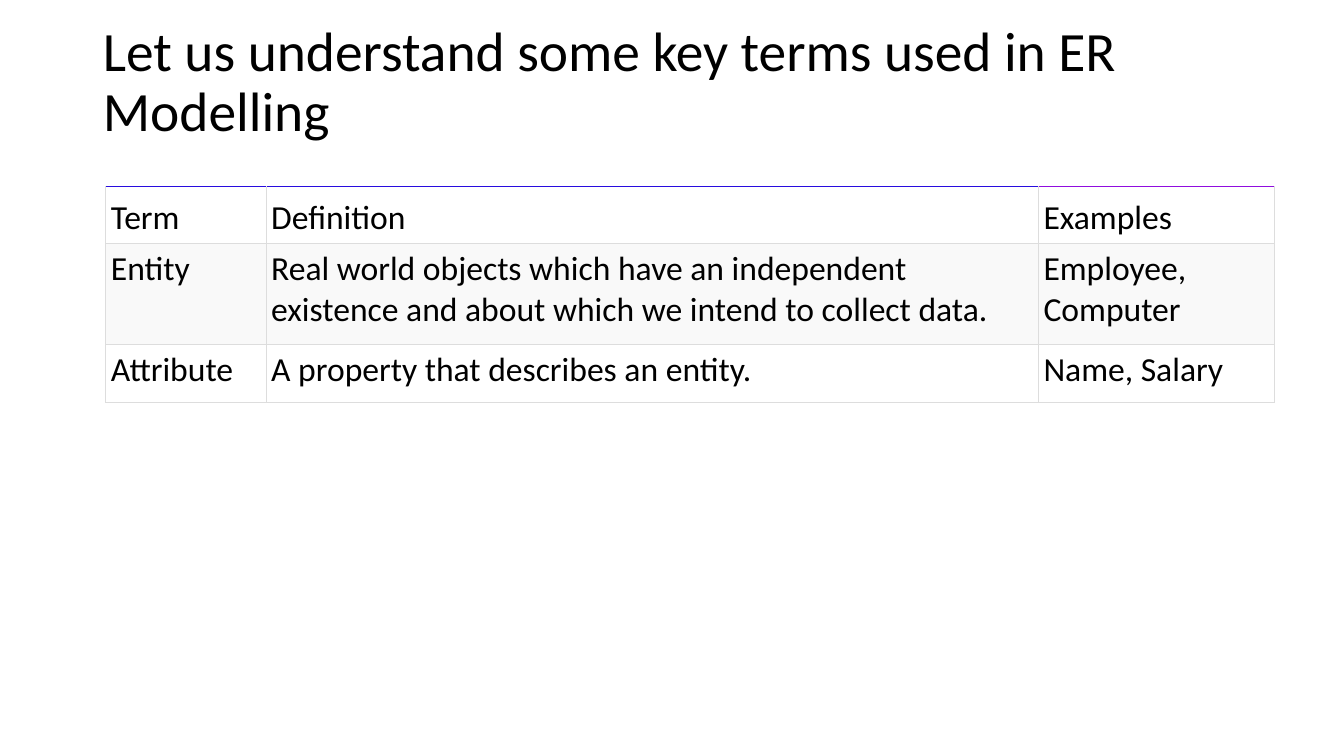
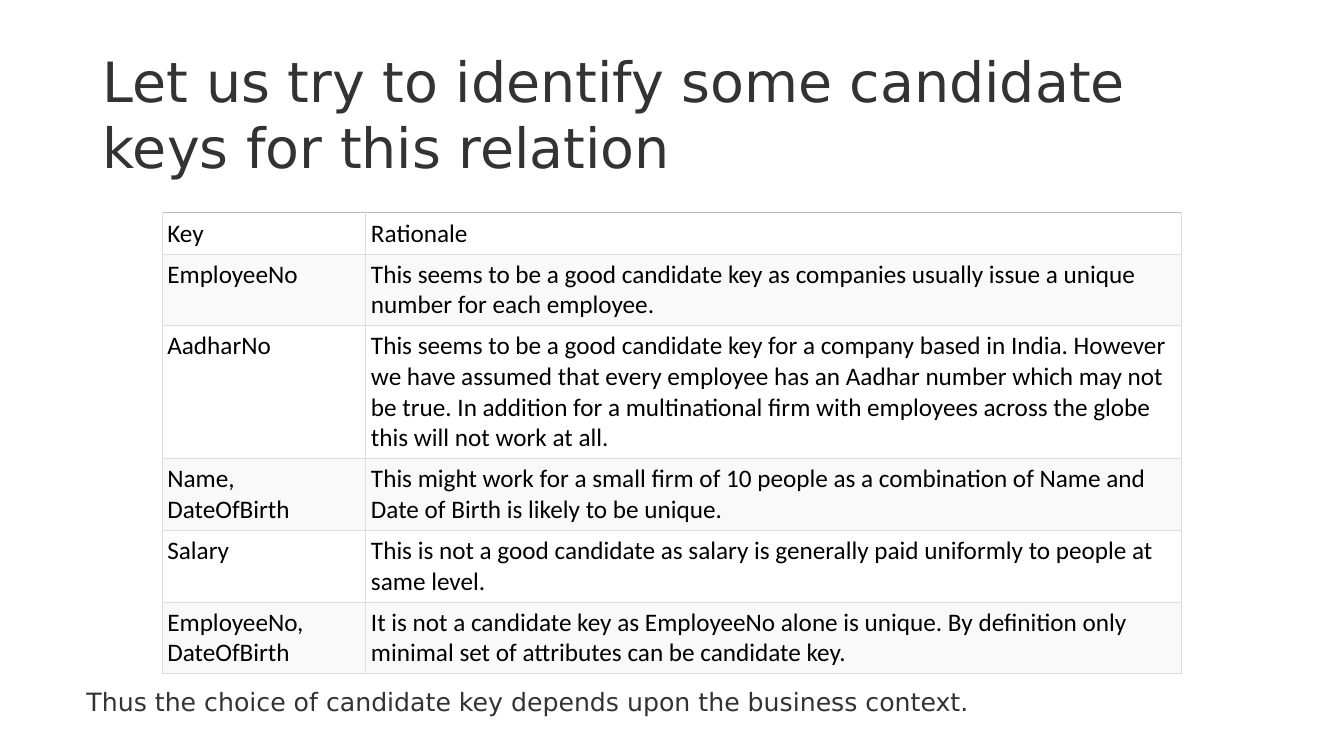
"""Build two slides on ER modelling terms and candidate keys."""
from lxml.etree import SubElement
from pptx import Presentation
from pptx.dml.color import RGBColor
from pptx.enum.text import MSO_ANCHOR, MSO_AUTO_SIZE, PP_ALIGN
from pptx.oxml.ns import qn
from pptx.util import Inches, Pt

BLACK = RGBColor(0x00, 0x00, 0x00)
CHARCOAL = RGBColor(0x33, 0x33, 0x33)
WHITE = RGBColor(0xFF, 0xFF, 0xFF)
BAND = RGBColor(0xF9, 0xF9, 0xF9)
GRID = RGBColor(0xDD, 0xDD, 0xDD)
BLUE = RGBColor(0x28, 0x0C, 0xDE)
PURPLE = RGBColor(0x90, 0x0D, 0xDE)
GREY = RGBColor(0xBB, 0xBB, 0xBB)
CALIBRI = "Calibri"
DEJAVU = "DejaVu Sans"
TITLE_SIZE = 39.6
CELL_MARGIN = Inches(0.05)

TERMS = [
    ("Term", "Definition", "Examples"),
    ("Entity",
     "Real world objects which have an independent existence and about which "
     "we intend to collect data.",
     "Employee, Computer"),
    ("Attribute", "A property that describes an entity.", "Name, Salary"),
]
KEYS = [
    ("Key", "Rationale"),
    ("EmployeeNo",
     "This seems to be a good candidate key as companies usually issue a "
     "unique number for each employee."),
    ("AadharNo",
     "This seems to be a good candidate key for a company based in India. "
     "However we have assumed that every employee has an Aadhar number which "
     "may not be true. In addition for a multinational firm with employees "
     "across the globe this will not work at all."),
    ("Name, DateOfBirth",
     "This might work for a small firm of 10 people as a combination of Name "
     "and Date of Birth is likely to be unique."),
    ("Salary",
     "This is not a good candidate as salary is generally paid uniformly to "
     "people at same level."),
    ("EmployeeNo, DateOfBirth",
     "It is not a candidate key as EmployeeNo alone is unique. By definition "
     "only minimal set of attributes can be candidate key."),
]


def write_text(frame, text, *, size, font=CALIBRI, color=BLACK, spacing=1.0):
    """Fill a text frame with one formatted, left-aligned paragraph."""
    frame.word_wrap = True
    para = frame.paragraphs[0]
    para.alignment = PP_ALIGN.LEFT
    para.line_spacing = spacing
    span = para.add_run()
    span.text = text
    span.font.size = Pt(size)
    span.font.name = font
    span.font.color.rgb = color


def add_page(deck, title, *, top, **text_format):
    """Add a page with a title that starts at the given height."""
    page = deck.slides.add_slide(deck.slide_layouts[5])
    box = page.shapes.title
    box.left, box.top = Inches(0.92), Inches(top)
    box.width, box.height = Inches(11.5), Inches(1.45)
    frame = box.text_frame
    frame.auto_size = MSO_AUTO_SIZE.NONE
    frame.vertical_anchor = MSO_ANCHOR.MIDDLE
    write_text(frame, title, size=TITLE_SIZE, **text_format)
    return page


def set_borders(cell, top_color):
    """Draw thin grid lines round a cell, with its own colour on top."""
    properties = cell._tc.get_or_add_tcPr()
    for side, color in zip("LRTB", (GRID, GRID, top_color, GRID)):
        line = SubElement(properties, qn(f"a:ln{side}"), w=str(Pt(0.75)))
        fill = SubElement(line, qn("a:solidFill"))
        SubElement(fill, qn("a:srgbClr"), val=str(color))


def add_grid(page, rows, *, left, top, widths, heights, size, header_colors):
    """Add a banded table whose header has coloured top lines."""
    table = page.shapes.add_table(
        len(rows), len(widths), Inches(left), Inches(top),
        Inches(sum(widths)), Inches(sum(heights))).table
    table.first_row = table.horz_banding = False
    for column, width in zip(table.columns, widths):
        column.width = Inches(width)
    for row, height in zip(table.rows, heights):
        row.height = Inches(height)
    for row_index, texts in enumerate(rows):
        is_header = row_index == 0
        for column_index, text in enumerate(texts):
            cell = table.cell(row_index, column_index)
            cell.margin_left = cell.margin_right = CELL_MARGIN
            cell.margin_top = cell.margin_bottom = CELL_MARGIN
            cell.vertical_anchor = MSO_ANCHOR.BOTTOM if is_header else MSO_ANCHOR.TOP
            set_borders(cell, header_colors[column_index] if is_header else GRID)
            cell.fill.solid()
            cell.fill.fore_color.rgb = BAND if row_index % 2 else WHITE
            write_text(cell.text_frame, text, size=size)


def add_note(page, text, *, left, top, width, height, **text_format):
    """Add a plain text box."""
    box = page.shapes.add_textbox(
        Inches(left), Inches(top), Inches(width), Inches(height))
    write_text(box.text_frame, text, **text_format)


def main():
    """Build and save the deck."""
    deck = Presentation()
    deck.slide_width, deck.slide_height = Inches(13.33), Inches(7.5)

    terms_page = add_page(
        deck, "Let us understand some key terms used in ER Modelling",
        top=0.1, spacing=0.9)
    add_grid(terms_page, TERMS, left=1.05, top=1.85, widths=(1.59, 7.66, 2.34),
             heights=(0.57, 1, 0.57), size=24, header_colors=(BLUE, BLUE, PURPLE))

    keys_page = add_page(
        deck, "Let us try to identify some candidate keys for this relation",
        top=0.4, font=DEJAVU, color=CHARCOAL)
    add_grid(keys_page, KEYS, left=1.61, top=2.11, widths=(2.02, 8.09),
             heights=(0.41, 0.71, 1.32, 0.71, 0.71, 0.71), size=18,
             header_colors=(GREY, GREY))
    add_note(keys_page,
             "Thus the choice of candidate key depends upon the business context.",
             left=0.76, top=6.76, width=10.04, height=0.71,
             size=18, font=DEJAVU, color=CHARCOAL)

    deck.save("out.pptx")


if __name__ == "__main__":
    main()
